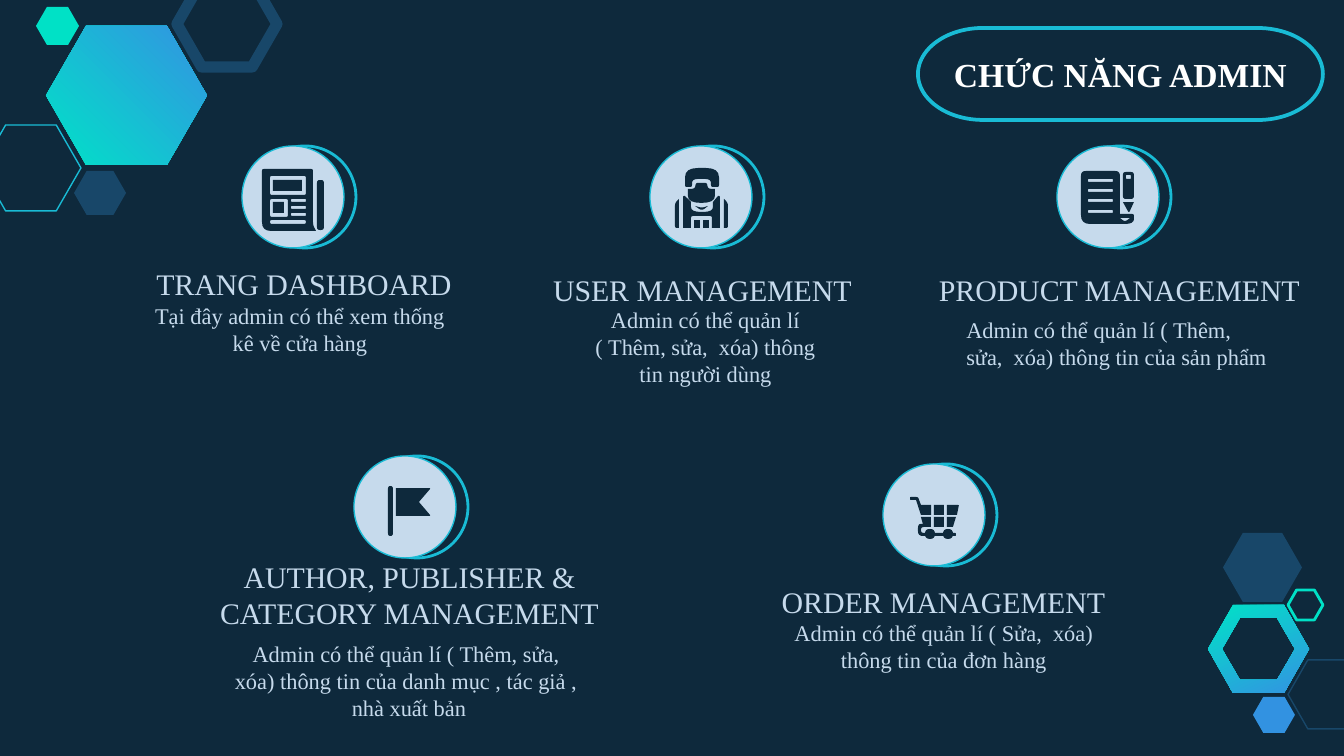
from dataclasses import dataclass
from math import hypot

from pptx import Presentation
from pptx import util as u
from pptx.dml.color import RGBColor
from pptx.enum import shapes, text

SCALE = 914400 / 134.4  # EMU in one px


@dataclass(frozen=True)
class Theme:
    navy: str = "0E293C"
    steel: str = "184769"
    cyan: str = "19BBD5"
    mint: str = "00E1C6"
    teal: str = "00E2C7"
    sky: str = "3393E2"
    blue: str = "3292E1"
    pale: str = "C6DAEC"
    white: str = "FFFFFF"
    font: str = "Times New Roman"
    title: int = 18
    heading: int = 16
    body: int = 12


T = Theme()


def px(n):
    return u.Emu(round(n * SCALE))


def rounded(points):
    """Outline of (x, y) or (x, y, radius) corners, each arc as short lines."""
    out = []
    for i, (x, y, *r) in enumerate(points):
        if not r:
            out.append((x, y))
            continue
        ends = []
        for nx, ny, *_ in (points[i - 1], points[(i + 1) % len(points)]):
            d = hypot(nx - x, ny - y)
            k = min(r[0], d / 2) / d
            ends.append((x + (nx - x) * k, y + (ny - y) * k))
        (ax, ay), (bx, by) = ends
        for t in (0, 0.25, 0.5, 0.75, 1):
            a, c, b = (1 - t) ** 2, 2 * t * (1 - t), t * t
            out.append((a * ax + c * x + b * bx, a * ay + c * y + b * by))
    return out


def rect(x, y, w, h, r=1):
    return [(x, y, r), (x + w, y, r), (x + w, y + h, r), (x, y + h, r)]


def hexagon(x, y, w, h, inset):
    return [(x, y + h / 2), (x + inset, y), (x + w - inset, y),
            (x + w, y + h / 2), (x + w - inset, y + h), (x + inset, y + h)]


class Deck:
    def __init__(self, w, h):
        self.prs = Presentation()
        self.prs.slide_width, self.prs.slide_height = px(w), px(h)
        self.s = self.prs.slides.add_slide(self.prs.slide_layouts[6])
        bg = self.s.background.fill
        bg.solid()
        bg.fore_color.rgb = RGBColor.from_string(T.navy)

    def paint(self, sp, fill=None, line=None, weight=0.75):
        sp.shadow.inherit = False
        for part, color in ((sp.fill, fill), (sp.line.fill, line)):
            if color:
                part.solid()
                part.fore_color.rgb = RGBColor.from_string(color)
            else:
                part.background()
        if line:
            sp.line.width = u.Pt(weight)
        return sp

    def shape(self, kind, box, **style):
        sp = self.s.shapes.add_shape(kind, *map(px, box))
        return self.paint(sp, **style)

    def hexagon(self, box, **style):
        sp = self.shape(shapes.MSO_SHAPE.HEXAGON, box, **style)
        sp.adjustments[0] = 0.287

    def outline(self, *contours, fill=T.navy):
        """One filled outline; later contours are holes in the first."""
        fb = None
        for contour in contours:
            start, *rest = [(px(x), px(y)) for x, y in rounded(contour)]
            if fb is None:
                fb = self.s.shapes.build_freeform(*start)
            else:
                fb.move_to(*start)
            fb.add_line_segments(rest, close=True)
        return self.paint(fb.convert_to_shape(), fill=fill)

    def gradient(self, angle, *contours):
        fill = self.outline(*contours).fill
        fill.gradient()
        fill.gradient_angle = angle
        for stop, color in zip(fill.gradient_stops, (T.teal, T.sky)):
            stop.color.rgb = RGBColor.from_string(color)

    def set_text(self, sp, words, size, color=T.pale, bold=False,
                 align=text.PP_ALIGN.CENTER, anchor=text.MSO_ANCHOR.MIDDLE):
        tf = sp.text_frame
        tf.text = words
        tf.word_wrap = True
        tf.vertical_anchor = anchor
        tf.margin_left = tf.margin_right = u.Inches(0.1)
        tf.margin_top = tf.margin_bottom = u.Inches(0.1)
        p = tf.paragraphs[0]
        p.alignment = align
        f = p.runs[0].font
        f.name, f.size, f.bold = T.font, u.Pt(size), bold
        f.color.rgb = RGBColor.from_string(color)

    def label(self, box, words, size, **style):
        self.set_text(self.s.shapes.add_textbox(*map(px, box)), words, size, **style)

    def badge(self, x, y):
        oval = shapes.MSO_SHAPE.OVAL
        self.shape(oval, (x + 12, y, 102, 102), fill=T.navy, line=T.cyan, weight=1.5)
        self.shape(oval, (x, y, 102, 102), fill=T.pale, line=T.cyan)


d = Deck(1344, 756)

# Corner hexagons
d.gradient(296, hexagon(1208, 605, 101, 88, 25), hexagon(1222, 618, 73, 62, 18))
d.gradient(45, hexagon(46, 26, 161, 139, 40))
for box, style in (
    ((-19, 125, 100, 86), dict(line=T.cyan)),
    ((74, 171, 52, 44), dict(fill=T.steel)),
    ((177, -19, 100, 86), dict(line=T.steel, weight=6)),
    ((36, 7, 43, 38), dict(fill=T.mint)),
    ((1288, 660, 79, 69), dict(line=T.steel)),
    ((1253, 697, 42, 36), dict(fill=T.blue)),
    ((1223, 533, 79, 69), dict(fill=T.steel)),
    ((1288, 590, 35, 30), dict(line=T.mint, weight=1.5)),
):
    d.hexagon(box, **style)

# Functions: badge corner, heading box, body box
LEFT, CENTER = text.PP_ALIGN.LEFT, text.PP_ALIGN.CENTER
for badge, head_box, heading, body_box, body, align in (
    ((242, 146), (81, 255, 446, 58), "TRANG DASHBOARD", (136, 289, 328, 75),
     "Tại đây admin có thể xem thống kê về cửa hàng", CENTER),
    ((650, 146), (472, 261, 461, 58), "USER MANAGEMENT", (575, 293, 261, 75),
     "Admin có thể quản lí ( Thêm, sửa,  xóa) thông tin người dùng", CENTER),
    ((1057, 146), (848, 261, 543, 58), "PRODUCT MANAGEMENT", (953, 303, 333, 75),
     "Admin có thể quản lí ( Thêm, sửa,  xóa) thông tin của sản phẩm", LEFT),
    ((354, 456), (171, 566, 477, 58), "AUTHOR, PUBLISHER & CATEGORY MANAGEMENT",
     (218, 627, 382, 75), "Admin có thể quản lí ( Thêm, sửa,  xóa) thông tin của "
     "danh mục , tác giả ,  nhà xuất bản", CENTER),
    ((883, 464), (715, 573, 457, 58), "ORDER MANAGEMENT", (758, 606, 372, 75),
     "Admin có thể quản lí ( Sửa,  xóa) thông tin của đơn hàng", CENTER),
):
    d.badge(*badge)
    d.label(head_box, heading, T.heading)
    d.label(body_box, body, T.body, align=align, anchor=text.MSO_ANCHOR.TOP)

# Icons: each is a list of outlines, each outline a list of contours
newspaper = [
    [rect(317, 180, 7, 50, 3)],
    [rect(273, 202, 11, 11, 0)],
    [rect(273, 180, 29, 11, 0)],
    [[(262, 169, 2), (313, 169, 2), (313, 225, 3), (316, 231), (262, 231, 9)],
     rect(270, 176, 36, 19, 2), rect(270, 199, 18, 18, 2), rect(270, 220, 36, 4, 2),
     *[rect(291, 199 + 7 * i, 15, 3) for i in range(3)]],
]
person = [
    [[(685, 187, 2), (685, 168, 13), (719, 168, 13), (719, 187, 2), (711, 187, 2),
      (711, 179, 6), (692, 179, 6), (692, 187, 2)]],
    [[(696, 183, 2), (707, 183, 2), (708, 189, 4), (715, 189), (715, 203, 14),
      (688, 203, 14), (688, 189), (695, 189, 4)]],
    [[(695, 206), (702, 208, 5), (708, 206), (702, 211, 4)]],
    *[[rect(x, 220, 6, 8, 0)] for x in (694, 703)],
    [[(683, 196, 2), (685, 196), (691, 202), (691, 212, 10), (713, 212, 10),
      (713, 202), (718, 196), (720, 196, 2), (720, 228), (712, 228), (712, 216, 2),
      (691, 216, 2), (691, 228), (683, 228)]],
    [[(724, 199), (728, 203, 3), (728, 228, 2), (724, 228)]],
    [[(679, 199), (679, 228), (675, 228, 2), (675, 203, 3)]],
]
document = [
    [[(1081, 171, 5), (1120, 171, 5), (1120, 214), (1134, 214, 2), (1134, 224, 9),
      (1081, 224, 9)],
     *[rect(1088, y, 25, 3) for y in (179, 189, 199, 210)],
     [(1120, 218), (1130, 218), (1125, 222, 4)]],
    [[(1123, 202), (1134, 202), (1129, 213, 2)]],
    [rect(1123, 172, 11, 27, 3), rect(1126, 175, 5, 4)],
]
flag = [
    [rect(388, 486, 5, 50, 3)],
    [[(396, 488), (431, 488, 2), (419, 502), (431, 516, 2), (396, 516)]],
]
cart = [
    [[(947, 517), (956, 517), (953, 527), (947, 527)]],
    [[(947, 505), (959, 505, 1), (957, 515), (947, 515)]],
    *[[rect(934, y, 10, 10, 0)] for y in (505, 517)],
    [[(910, 497, 1), (918, 497, 2), (921, 505), (931, 505), (931, 515), (921, 515),
      (916, 500), (910, 500, 1)]],
    [[(921, 517), (931, 517), (931, 527), (921, 527, 3), (921, 533, 3),
      (956, 533, 1), (956, 536, 1), (918, 536, 5), (918, 524, 5), (923, 524)]],
    *[[rect(x, 529, 10, 10, 5)] for x in (925, 943)],
]
for icon in (newspaper, person, document, flag, cart):
    for contours in icon:
        d.outline(*contours)

# Title pill
pill = d.shape(shapes.MSO_SHAPE.FLOWCHART_TERMINATOR, (918, 28, 405, 92),
               fill=T.navy, line=T.cyan, weight=2)
d.set_text(pill, "CHỨC NĂNG ADMIN", T.title, color=T.white, bold=True)

d.prs.save("out.pptx")
